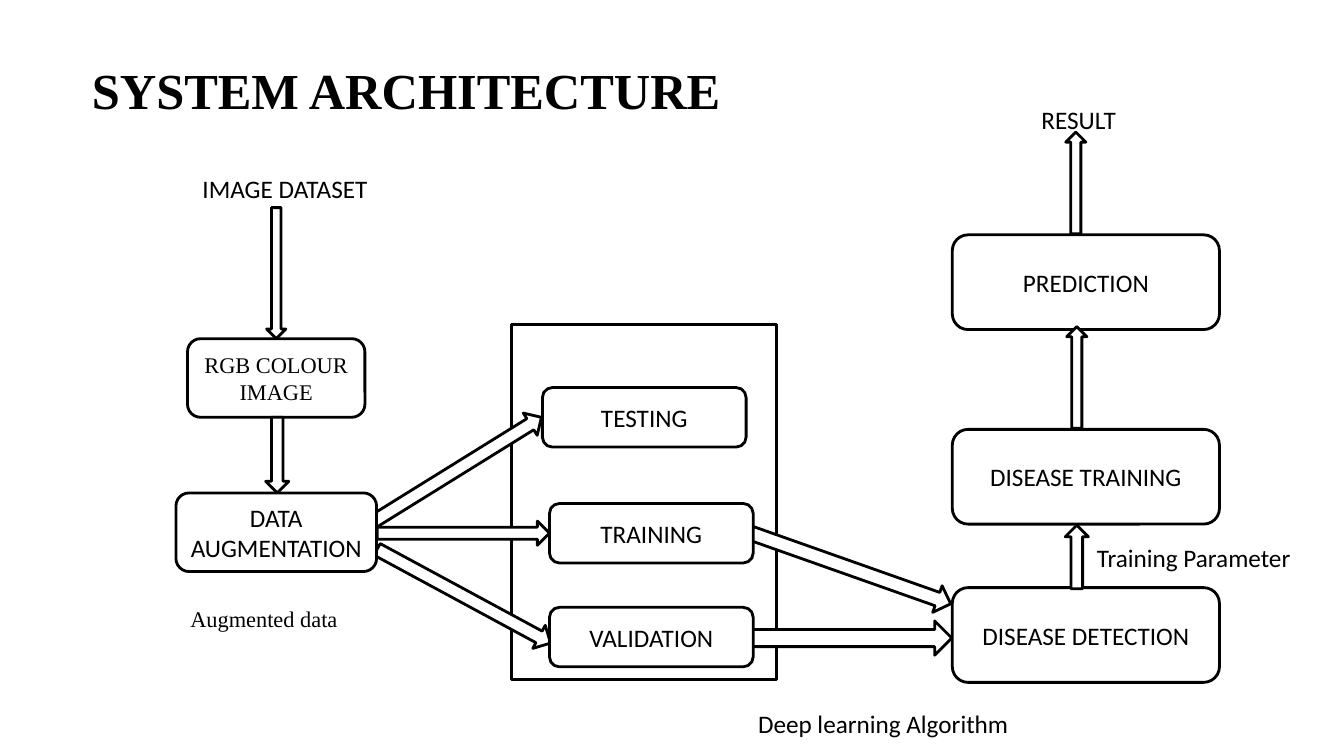
from math import atan2, degrees, hypot

from pptx import Presentation
from pptx.dml.color import RGBColor
from pptx.enum.shapes import MSO_SHAPE
from pptx.enum.text import MSO_ANCHOR, PP_ALIGN
from pptx.util import Inches, Pt

COLOURS = {"ink": "000000", "paper": "FFFFFF"}
SERIF = {"name": "Times New Roman", "size": Pt(16)}
SANS = {"name": "Calibri", "size": Pt(18)}
HEADING = {"name": "Times New Roman", "size": Pt(36), "bold": True}

TITLE = ("SYSTEM ARCHITECTURE", (0.13, 0.16, 7.8, 1.45))
FRAME = (5.07, 3.22, 2.63, 3.52)

# Centre lines of the three columns, and centre heights of the rows
INPUT, SPLIT, MODEL = 2.74, 6.46, 10.77
IMAGE_ROW, AUGMENT_ROW = 3.75, 5.28
TESTING_ROW, TRAINING_ROW, VALIDATION_ROW = 4.14, 5.29, 6.32
PREDICTION_ROW, DISEASE_ROW, DETECTION_ROW = 2.8, 4.73, 6.3

SPLIT_SIZE = (2.02, 0.59)
MODEL_SIZE = (2.65, 0.94)

# Text, centre, size, font
BOXES = [
    ("RGB COLOUR IMAGE", (INPUT, IMAGE_ROW), (1.76, 0.78), SERIF),
    ("DATA AUGMENTATION", (INPUT, AUGMENT_ROW), (1.99, 0.78), SANS),
    ("TESTING", (SPLIT - 0.07, TESTING_ROW), SPLIT_SIZE, SANS),
    ("TRAINING", (SPLIT, TRAINING_ROW), SPLIT_SIZE, SANS),
    ("VALIDATION", (SPLIT, VALIDATION_ROW), SPLIT_SIZE, SANS),
    ("DISEASE DETECTION", (MODEL, DETECTION_ROW), MODEL_SIZE, SANS),
    ("DISEASE TRAINING", (MODEL, DISEASE_ROW), MODEL_SIZE, SANS),
    ("PREDICTION", (MODEL, PREDICTION_ROW), MODEL_SIZE, SANS),
]

# Tail, tip, thickness
SIDE_ARROWS = [
    ((3.74, 5.45), (5.46, 6.38), 0.26),
    ((3.71, 5.17), (5.37, 4.14), 0.26),
    ((3.74, TRAINING_ROW), (5.45, TRAINING_ROW), 0.24),
    ((7.45, 5.29), (9.43, 5.99), 0.28),
    ((7.42, 6.33), (9.44, 6.33), 0.34),
]
UPRIGHT_ARROWS = [
    ((INPUT, 2.06), (INPUT, 3.36), 0.19),
    ((INPUT + 0.01, 4.14), (INPUT + 0.01, 4.89), 0.23),
    ((10.68, 5.84), (10.68, 5.21), 0.23),
    ((10.68, 4.25), (10.68, 3.24), 0.2),
    ((10.67, 2.32), (10.67, 1.31), 0.2),
]

LABELS = [
    ("RESULT", (10.23, 0.99, 1.82, 0.4), SANS),
    ("Training Parameter", (10.78, 5.33, 2.55, 0.4), SANS),
    ("Deep learning Algorithm", (7.42, 6.98, 4.32, 0.41), SANS),
    ("Augmented data", (1.79, 5.95, 2.36, 0.37), SERIF),
    ("IMAGE DATASET", (1.91, 1.67, 2.12, 0.4), SANS),
]


def colour(name):
    return RGBColor.from_string(COLOURS[name])


def write(shape, text, font_format, alignment, anchor):
    frame = shape.text_frame
    frame.word_wrap = True
    frame.vertical_anchor = anchor
    paragraph = frame.paragraphs[0]
    paragraph.alignment = alignment
    run = paragraph.add_run()
    run.text = text
    for attribute, value in font_format.items():
        setattr(run.font, attribute, value)
    run.font.color.rgb = colour("ink")


def add_outlined(slide, preset, centre, size):
    (x, y), (width, height) = centre, size
    area = (x - width / 2, y - height / 2, width, height)
    shape = slide.shapes.add_shape(preset, *map(Inches, area))
    shape.shadow.inherit = False
    shape.fill.solid()
    shape.fill.fore_color.rgb = colour("paper")
    shape.line.color.rgb = colour("ink")
    shape.line.width = Pt(2)
    return shape


def add_arrow(slide, tail, tip, thickness):
    """Turn a down arrow so that it runs from tail to tip."""
    dx, dy = tip[0] - tail[0], tip[1] - tail[1]
    middle = (tail[0] + dx / 2, tail[1] + dy / 2)
    arrow = add_outlined(slide, MSO_SHAPE.DOWN_ARROW, middle, (thickness, hypot(dx, dy)))
    arrow.rotation = degrees(atan2(-dx, dy)) % 360


def place_title(slide):
    text, area = TITLE
    title = slide.shapes.title
    title.left, title.top, title.width, title.height = map(Inches, area)
    write(title, text, HEADING, PP_ALIGN.CENTER, MSO_ANCHOR.MIDDLE)


def main():
    presentation = Presentation()
    presentation.slide_width = Inches(13.33)
    presentation.slide_height = Inches(7.5)
    slide = presentation.slides.add_slide(presentation.slide_layouts[5])

    place_title(slide)
    left, top, width, height = FRAME
    frame_centre = (left + width / 2, top + height / 2)
    add_outlined(slide, MSO_SHAPE.RECTANGLE, frame_centre, (width, height))
    for arrow in SIDE_ARROWS:
        add_arrow(slide, *arrow)
    for text, centre, size, font_format in BOXES:
        box = add_outlined(slide, MSO_SHAPE.ROUNDED_RECTANGLE, centre, size)
        write(box, text, font_format, PP_ALIGN.CENTER, MSO_ANCHOR.MIDDLE)
    for arrow in UPRIGHT_ARROWS:
        add_arrow(slide, *arrow)
    for text, area, font_format in LABELS:
        label = slide.shapes.add_textbox(*map(Inches, area))
        write(label, text, font_format, PP_ALIGN.LEFT, MSO_ANCHOR.TOP)

    presentation.save("out.pptx")


if __name__ == "__main__":
    main()
